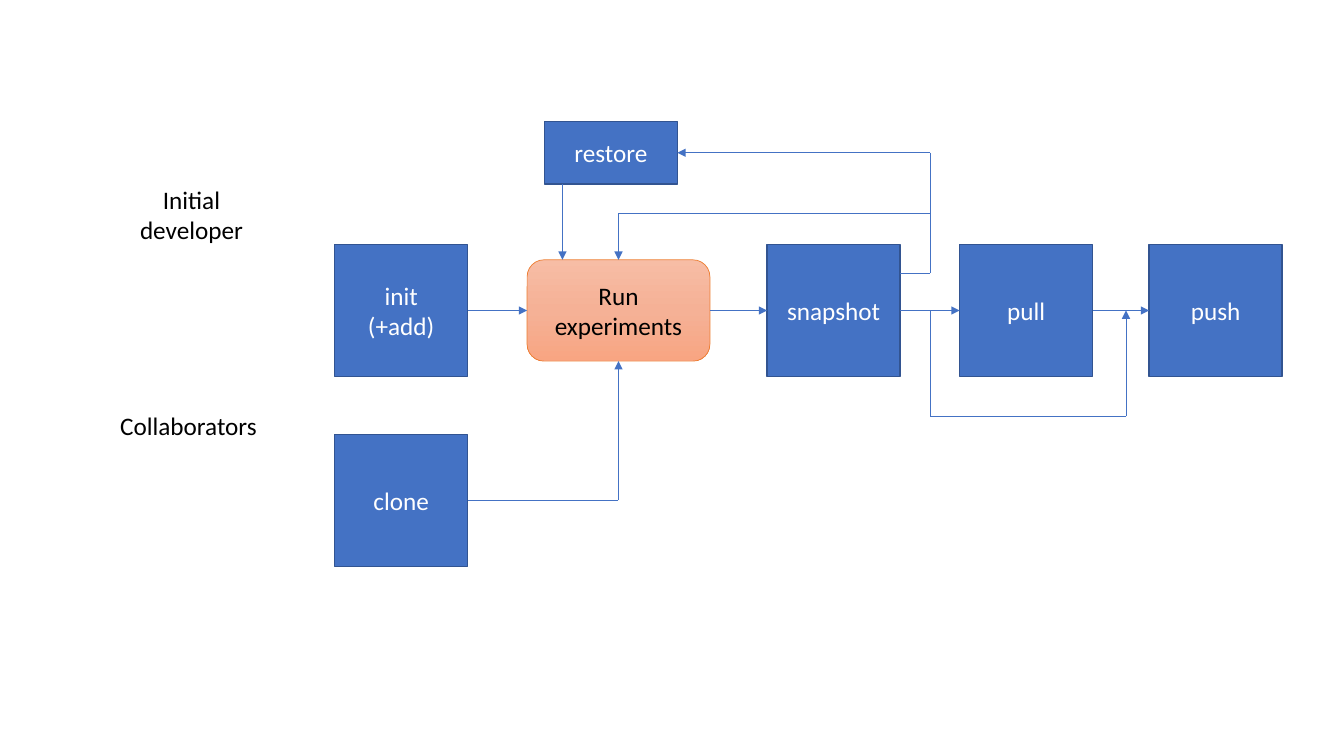
import copy
import pptx
import pptx.util
import pptx.dml.color
import pptx.enum.shapes
import pptx.enum.text
import pptx.oxml
import pptx.oxml.ns

Color = pptx.dml.color.RGBColor
BLUE = Color(0x44, 0x72, 0xC4)
NAVY = Color(0x32, 0x54, 0x91)
ORANGE = Color(0xED, 0x7D, 0x31)
PEACH = [Color(0xF7, 0xBD, 0xA5), Color(0xF5, 0xB1, 0x96), Color(0xF8, 0xA5, 0x82)]
WHITE = Color(0xFF, 0xFF, 0xFF)
BLACK = Color(0, 0, 0)

WIDTH = pptx.util.Inches(13.33)
HEIGHT = pptx.util.Inches(7.5)
TOP, LEFT, BOTTOM, RIGHT = range(4)

# Columns and rows are hundredths of the slide's width and height.
STEP_WIDTH, STEP_HEIGHT = 9.9, 17.4
RESTORE_HEIGHT = 8.3
RUN_WIDTH, RUN_HEIGHT = 13.6, 13.4
INIT_COLUMN, RUN_COLUMN, RESTORE_COLUMN = 24.9, 39.22, 40.5
SNAPSHOT_COLUMN, PULL_COLUMN, PUSH_COLUMN = 57.08, 71.4, 85.5
RUN_CENTER = RUN_COLUMN + RUN_WIDTH / 2
RESTORE_EXIT, BRANCH, MERGE = 41.85, 69.23, 83.78
RESTORE_ROW, RETURN_ROW, MAIN_ROW = 20.2, 28.27, 41.07
SNAPSHOT_EXIT, BYPASS_ROW, CLONE_ROW = 36.13, 55.07, 66.2


def across(columns):
    return round(WIDTH * columns / 100)


def down(rows):
    return round(HEIGHT * rows / 100)


def frame(column, center_row, width, height):
    return across(column), down(center_row - height / 2), across(width), down(height)


def write(shape, text, color):
    text_frame = shape.text_frame
    text_frame.text = text
    text_frame.vertical_anchor = pptx.enum.text.MSO_ANCHOR.MIDDLE
    for para in text_frame.paragraphs:
        para.alignment = pptx.enum.text.PP_ALIGN.CENTER
        para.font.name = "Calibri"
        para.font.size = pptx.util.Pt(18)
        para.font.color.rgb = color


def add_step(page, text, column, row, height=STEP_HEIGHT):
    box = page.shapes.add_shape(
        pptx.enum.shapes.MSO_SHAPE.RECTANGLE, *frame(column, row, STEP_WIDTH, height))
    box.shadow.inherit = False
    box.fill.solid()
    box.fill.fore_color.rgb = BLUE
    box.line.color.rgb = NAVY
    box.line.width = pptx.util.Pt(1)
    write(box, text, WHITE)
    return box


def add_run(page):
    box = page.shapes.add_shape(
        pptx.enum.shapes.MSO_SHAPE.ROUNDED_RECTANGLE,
        *frame(RUN_COLUMN, MAIN_ROW, RUN_WIDTH, RUN_HEIGHT))
    box.shadow.inherit = False
    box.fill.gradient()
    box.fill.gradient_angle = 270
    stop_list = box._element.spPr.find(".//" + pptx.oxml.ns.qn("a:gsLst"))
    stop_list.insert(1, copy.deepcopy(stop_list[0]))
    for index, stop in enumerate(box.fill.gradient_stops):
        stop.position = index / 2
        stop.color.rgb = PEACH[index]
    box.line.color.rgb = ORANGE
    box.line.width = pptx.util.Pt(0.5)
    write(box, "Run\nexperiments", BLACK)
    return box


def add_label(page, text, column, row, width, height, wrap):
    box = page.shapes.add_textbox(*frame(column, row, width, height))
    write(box, text, BLACK)
    box.text_frame.word_wrap = wrap


def add_route(page, points, start=None, end=None, arrow=True):
    lines = []
    for begin, finish in zip(points, points[1:]):
        line = page.shapes.add_connector(
            pptx.enum.shapes.MSO_CONNECTOR.STRAIGHT,
            across(begin[0]), down(begin[1]), across(finish[0]), down(finish[1]))
        line.line.color.rgb = BLUE
        line.line.width = pptx.util.Pt(0.5)
        pptx.oxml.ns.qn("a:effectLst")
        line._element.spPr.append(
            line._element.makeelement(pptx.oxml.ns.qn("a:effectLst"), {}))
        lines.append(line)
    if start:
        lines[0].begin_connect(*start)
    if end:
        lines[-1].end_connect(*end)
    if arrow:
        outline = lines[-1].line._get_or_add_ln()
        outline.append(outline.makeelement(
            pptx.oxml.ns.qn("a:tailEnd"), {"type": "triangle"}))


def main():
    deck = pptx.Presentation()
    deck.slide_width, deck.slide_height = WIDTH, HEIGHT
    page = deck.slides.add_slide(deck.slide_layouts[6])

    init = add_step(page, "init\n(+add)", INIT_COLUMN, MAIN_ROW)
    run = add_run(page)
    snapshot = add_step(page, "snapshot", SNAPSHOT_COLUMN, MAIN_ROW)
    pull = add_step(page, "pull", PULL_COLUMN, MAIN_ROW)
    push = add_step(page, "push", PUSH_COLUMN, MAIN_ROW)
    clone = add_step(page, "clone", INIT_COLUMN, CLONE_ROW)
    restore = add_step(page, "restore", RESTORE_COLUMN, RESTORE_ROW, RESTORE_HEIGHT)

    chain = [(init, INIT_COLUMN + STEP_WIDTH, RUN_COLUMN, run),
             (run, RUN_COLUMN + RUN_WIDTH, SNAPSHOT_COLUMN, snapshot),
             (snapshot, SNAPSHOT_COLUMN + STEP_WIDTH, PULL_COLUMN, pull),
             (pull, PULL_COLUMN + STEP_WIDTH, PUSH_COLUMN, push)]
    for source, begin, finish, target in chain:
        add_route(page, [(begin, MAIN_ROW), (finish, MAIN_ROW)],
                  (source, RIGHT), (target, LEFT))

    add_route(page, [(SNAPSHOT_COLUMN + STEP_WIDTH, SNAPSHOT_EXIT),
                     (BRANCH, SNAPSHOT_EXIT), (BRANCH, RETURN_ROW),
                     (BRANCH, RESTORE_ROW),
                     (RESTORE_COLUMN + STEP_WIDTH, RESTORE_ROW)],
              end=(restore, RIGHT))
    add_route(page, [(BRANCH, RETURN_ROW), (RUN_CENTER, RETURN_ROW),
                     (RUN_CENTER, MAIN_ROW - RUN_HEIGHT / 2)], end=(run, TOP))
    add_route(page, [(RESTORE_EXIT, RESTORE_ROW + RESTORE_HEIGHT / 2),
                     (RESTORE_EXIT, MAIN_ROW - RUN_HEIGHT / 2)])
    add_route(page, [(BRANCH, MAIN_ROW), (BRANCH, BYPASS_ROW),
                     (MERGE, BYPASS_ROW), (MERGE, MAIN_ROW)])
    add_route(page, [(INIT_COLUMN + STEP_WIDTH, CLONE_ROW), (RUN_CENTER, CLONE_ROW),
                     (RUN_CENTER, MAIN_ROW + RUN_HEIGHT / 2)],
              (clone, RIGHT), (run, BOTTOM))

    add_label(page, "Initial\ndeveloper", 9.6, 28.33, 9.3, 9.4, False)
    add_label(page, "Collaborators", 6.6, 56.27, 14.85, 5.4, True)
    deck.save("out.pptx")


if __name__ == "__main__":
    main()
